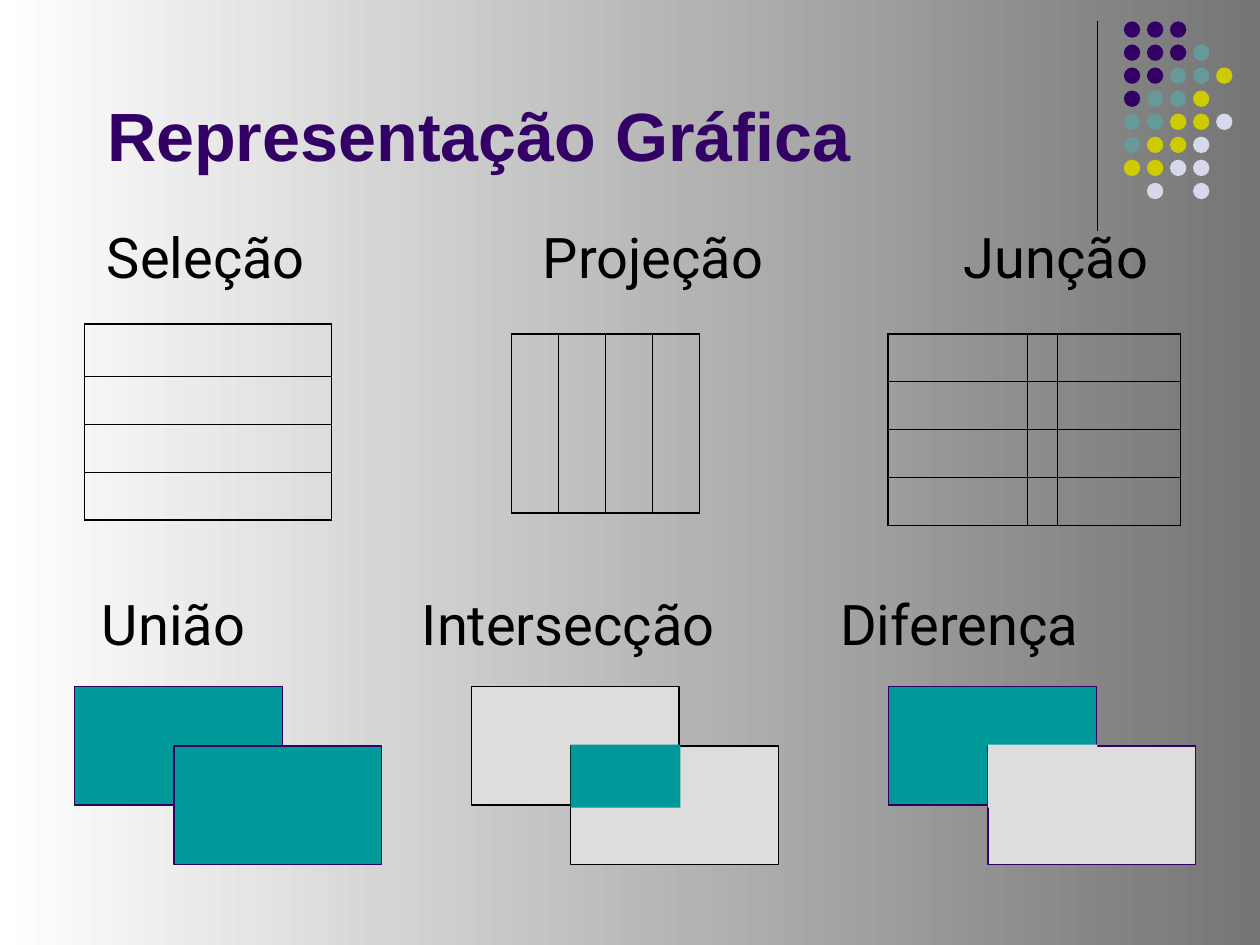
from lxml.etree import SubElement
from pptx import Presentation
from pptx.dml.color import RGBColor
from pptx.enum.shapes import MSO_CONNECTOR, MSO_SHAPE
from pptx.enum.text import MSO_ANCHOR, PP_ALIGN
from pptx.oxml.ns import qn
from pptx.util import Inches, Pt

COLORS = {
    "purple": "330066", "slate": "669999", "yellow": "CCCC00",
    "lilac": "D8D8EC", "teal": "009999", "gray": "DDDDDD",
    "black": "000000", "white": "FFFFFF", "dark": "757575",
}

TITLE = "Representação Gráfica"

# One letter per dot, a space where there is none
DOT_ROWS = ["PPP", "PPPS", "PPSSY", "PSSY", "SSYYL", "SYYL", "YYLL", " L L"]
DOT_COLORS = {"P": "purple", "S": "slate", "Y": "yellow", "L": "lilac"}
DOT_LEFT, DOT_TOP, DOT_STEP, DOT_SIZE = 8.92, 0.17, 0.183, 0.13

# Left, top, labels, tab stops
HEADINGS = [
    (0.75, 1.78, ["Seleção", "Projeção", "Junção"], [3.46, 6.8]),
    (0.71, 4.69, ["União", "Intersecção", "Diferença"], [2.54, 5.86]),
]

# Left, top, column widths, row heights
TABLES = [
    (0.67, 2.57, [1.96], [0.42] + [0.38] * 3),
    (4.06, 2.65, [0.373] * 4, [1.42]),
    (7.05, 2.65, [1.1, 0.24, 0.98], [0.38] * 4),
]
OUTER_WIDTH, INNER_WIDTH = 1.08, 0.45

# Left, back fill, front fill, overlap fill, outline
SET_DIAGRAMS = [
    (0.59, "teal", "teal", None, "purple"),
    (3.74, "gray", "gray", "teal", "black"),
    (7.05, "teal", "gray", "gray", "purple"),
]
SET_TOP, SET_SIZE, SET_SHIFT = 5.45, (1.65, 0.94), (0.79, 0.47)


def rgb(name):
    return RGBColor.from_string(COLORS[name])


def add_filled(shapes, kind, left, top, width, height, fill, outline=None):
    shape = shapes.add_shape(kind, Inches(left), Inches(top), Inches(width), Inches(height))
    shape.shadow.inherit = False
    shape.fill.solid()
    shape.fill.fore_color.rgb = rgb(fill)
    if outline:
        shape.line.color.rgb = rgb(outline)
        shape.line.width = Pt(0.75)
    else:
        shape.line.fill.background()


def write(paragraph, text, color, **formats):
    span = paragraph.add_run()
    span.text = text
    span.font.color.rgb = rgb(color)
    for name, value in formats.items():
        setattr(span.font, name, value)


def add_background(page):
    fill = page.background.fill
    fill.gradient()
    fill.gradient_angle = 0
    for stop, position, color in zip(fill.gradient_stops, (0, 1), ("white", "dark")):
        stop.position = position
        stop.color.rgb = rgb(color)


def add_ornament(page):
    rule = page.shapes.add_connector(
        MSO_CONNECTOR.STRAIGHT, Inches(8.71), Inches(0.17), Inches(8.71), Inches(1.83))
    rule.line.color.rgb = rgb("black")
    rule.line.width = Pt(0.75)
    SubElement(rule.element.spPr, qn("a:effectLst"))
    dots = page.shapes.add_group_shape()
    for row, letters in enumerate(DOT_ROWS):
        for column, letter in enumerate(letters):
            if letter != " ":
                add_filled(dots.shapes, MSO_SHAPE.OVAL, DOT_LEFT + column * DOT_STEP,
                           DOT_TOP + row * DOT_STEP, DOT_SIZE, DOT_SIZE, DOT_COLORS[letter])


def add_title(page):
    title = page.shapes.title
    title.left, title.top, title.width, title.height = map(Inches, (0.75, 0.36, 8.5, 1.08))
    title.text_frame.vertical_anchor = MSO_ANCHOR.BOTTOM
    paragraph = title.text_frame.paragraphs[0]
    paragraph.alignment = PP_ALIGN.LEFT
    write(paragraph, TITLE, "purple", name="Arial", size=Pt(39), bold=True)


def add_heading_row(page, left, top, labels, stops):
    box = page.shapes.add_textbox(Inches(left), Inches(top), Inches(9.25), Inches(0.83))
    box.text_frame.word_wrap = True
    paragraph = box.text_frame.paragraphs[0]
    paragraph.line_spacing = 0.9
    paragraph.space_before = Pt(8)
    tabs = SubElement(paragraph._p.get_or_add_pPr(), qn("a:tabLst"))
    for stop in stops:
        SubElement(tabs, qn("a:tab"), pos=str(Inches(stop)), algn="l")
    write(paragraph, "\t".join(labels), "black", name="Roboto", size=Pt(32))


def add_border(cell, side, width):
    line = SubElement(cell._tc.get_or_add_tcPr(), qn(f"a:ln{side}"), w=str(Pt(width)))
    fill = SubElement(line, qn("a:solidFill"))
    SubElement(fill, qn("a:srgbClr"), val=COLORS["black"])


def add_grid(page, left, top, widths, heights):
    """Empty table with a heavier outer frame."""
    table = page.shapes.add_table(
        len(heights), len(widths), Inches(left), Inches(top),
        Inches(sum(widths)), Inches(sum(heights))).table
    table.first_row = table.horz_banding = False
    for column, width in zip(table.columns, widths):
        column.width = Inches(width)
    for row, height in zip(table.rows, heights):
        row.height = Inches(height)
    for r in range(len(heights)):
        for c in range(len(widths)):
            cell = table.cell(r, c)
            for side in ("left", "right", "top", "bottom"):
                setattr(cell, f"margin_{side}", 0)
            on_edge = {"L": c == 0, "R": c == len(widths) - 1,
                       "T": r == 0, "B": r == len(heights) - 1}
            for side, outer in on_edge.items():
                add_border(cell, side, OUTER_WIDTH if outer else INNER_WIDTH)
            cell.fill.background()


def add_set_diagram(page, left, back, front, overlap, outline):
    width, height = SET_SIZE
    x, y = left + SET_SHIFT[0], SET_TOP + SET_SHIFT[1]
    add_filled(page.shapes, MSO_SHAPE.RECTANGLE, left, SET_TOP, width, height, back, outline)
    add_filled(page.shapes, MSO_SHAPE.RECTANGLE, x, y, width, height, front, outline)
    if overlap:
        add_filled(page.shapes, MSO_SHAPE.RECTANGLE, x, y - 0.01, 0.87, 0.5, overlap)


def main():
    deck = Presentation()
    deck.slide_width, deck.slide_height = Inches(10), Inches(7.5)
    page = deck.slides.add_slide(deck.slide_layouts[5])
    add_background(page)
    add_ornament(page)
    add_title(page)
    for table in TABLES:
        add_grid(page, *table)
    for heading in HEADINGS:
        add_heading_row(page, *heading)
    for diagram in SET_DIAGRAMS:
        add_set_diagram(page, *diagram)
    deck.save("out.pptx")


if __name__ == "__main__":
    main()
